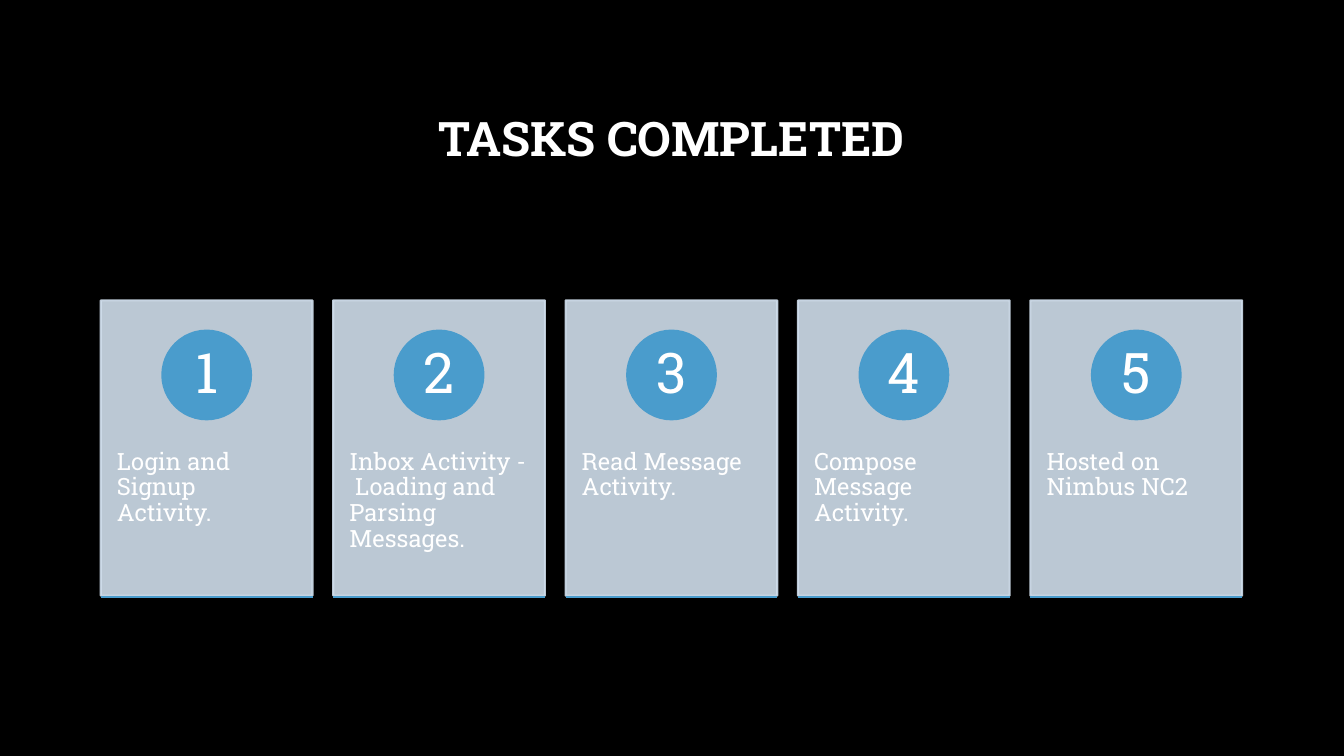
from dataclasses import dataclass

from lxml import etree
from pptx import Presentation
from pptx.dml.color import RGBColor
from pptx.enum.shapes import MSO_CONNECTOR as Connector, MSO_SHAPE as Preset
from pptx.enum.text import MSO_ANCHOR as Anchor, MSO_AUTO_SIZE as AutoSize, PP_ALIGN as Align
from pptx.oxml.ns import qn
from pptx.util import Inches, Pt

FONT = "Roboto Slab"
BLACK, WHITE, PALE, BLUE = "000000", "FFFFFF", "D0DEEC", "4A9CCC"
CARD_LEFT, CARD_TOP, CARD_WIDTH, CARD_HEIGHT = 1, 2.98, 2.1, 2.93
CARD_STEP = 2.305
CIRCLE, NUMBER = 0.88, 0.62


@dataclass
class Task:
    number: int
    description: str


TASKS = [
    Task(number, description)
    for number, description in enumerate(
        [
            "Login and Signup Activity.",
            "Inbox Activity -  Loading and Parsing Messages.",
            "Read Message Activity.",
            "Compose Message Activity.",
            "Hosted on Nimbus NC2",
        ],
        start=1,
    )
]


def paint(color_format, color: str, opacity: int = 100) -> None:
    """Set a solid colour, with opacity in percent."""
    color_format.rgb = RGBColor.from_string(color)
    if opacity < 100:
        solid = color_format._xFill
        alpha = etree.SubElement(solid.find(qn("a:srgbClr")), qn("a:alpha"))
        alpha.set("val", str(opacity * 1000))


def write(shape, text: str, *, size: float, bold: bool = False, align=Align.LEFT,
          anchor=Anchor.TOP, insets: tuple[float, float] = (0.1, 0.05),
          spacing: float = 0.9) -> None:
    frame = shape.text_frame
    frame.auto_size = AutoSize.NONE
    frame.word_wrap = True
    frame.vertical_anchor = anchor
    frame.margin_left = frame.margin_right = Inches(insets[0])
    frame.margin_top = frame.margin_bottom = Inches(insets[1])
    paragraph = frame.paragraphs[0]
    paragraph.alignment = align
    paragraph.line_spacing = spacing
    run = paragraph.add_run()
    run.text = text
    run.font.name, run.font.size, run.font.bold = FONT, Pt(size), bold
    paint(run.font.color, WHITE)


def add_block(shapes, preset, box: tuple[float, float, float, float], color: str,
              opacity: int = 100, outlined: bool = True) -> None:
    block = shapes.add_shape(preset, *map(Inches, box))
    block.shadow.inherit = False
    block.fill.solid()
    paint(block.fill.fore_color, color, opacity)
    if outlined:
        block.line.width = Pt(1.5)
        paint(block.line.color, color, opacity)
        return
    block.line.fill.background()


def add_card(slide, task: Task, left: float) -> None:
    shapes = slide.shapes.add_group_shape().shapes
    center = left + CARD_WIDTH / 2
    bottom = CARD_TOP + CARD_HEIGHT + 0.01

    # Panel and description
    add_block(shapes, Preset.RECTANGLE, (left, CARD_TOP, CARD_WIDTH, CARD_HEIGHT), PALE, 90)
    description = shapes.add_textbox(*map(Inches, (left, 4.1, CARD_WIDTH, 1.76)))
    write(description, task.description, size=17, insets=(0.16, 0.36))

    # Numbered circle
    add_block(shapes, Preset.OVAL, (center - CIRCLE / 2, 3.28, CIRCLE, CIRCLE), BLUE)
    number = shapes.add_textbox(*map(Inches, (center - NUMBER / 2, 3.41, NUMBER, NUMBER)))
    write(number, str(task.number), size=40, align=Align.CENTER, anchor=Anchor.MIDDLE,
          insets=(0.07, 0.01))

    # Bottom rule
    rule = shapes.add_connector(Connector.STRAIGHT, *map(Inches, (left, bottom, left + CARD_WIDTH, bottom)))
    rule.line.width = Pt(1.5)
    paint(rule.line.color, BLUE)
    etree.SubElement(rule._element.spPr, qn("a:effectLst"))


def main() -> None:
    deck = Presentation()
    deck.slide_width, deck.slide_height = Inches(13.33), Inches(7.5)
    slide = deck.slides.add_slide(deck.slide_layouts[5])

    # Background and its translucent lower band
    slide.background.fill.solid()
    paint(slide.background.fill.fore_color, BLACK)
    add_block(slide.shapes, Preset.RECTANGLE, (0, 2.29, 13.33, 5.21), BLACK, 50, outlined=False)

    # Title
    title = slide.shapes.title
    title.left, title.top, title.width, title.height = map(Inches, (1, 0.67, 11.32, 1.45))
    write(title, "TASKS COMPLETED", size=34, bold=True, align=Align.CENTER, anchor=Anchor.MIDDLE)

    # Task cards
    for index, task in enumerate(TASKS):
        add_card(slide, task, CARD_LEFT + index * CARD_STEP)

    deck.save("out.pptx")


if __name__ == "__main__":
    main()
